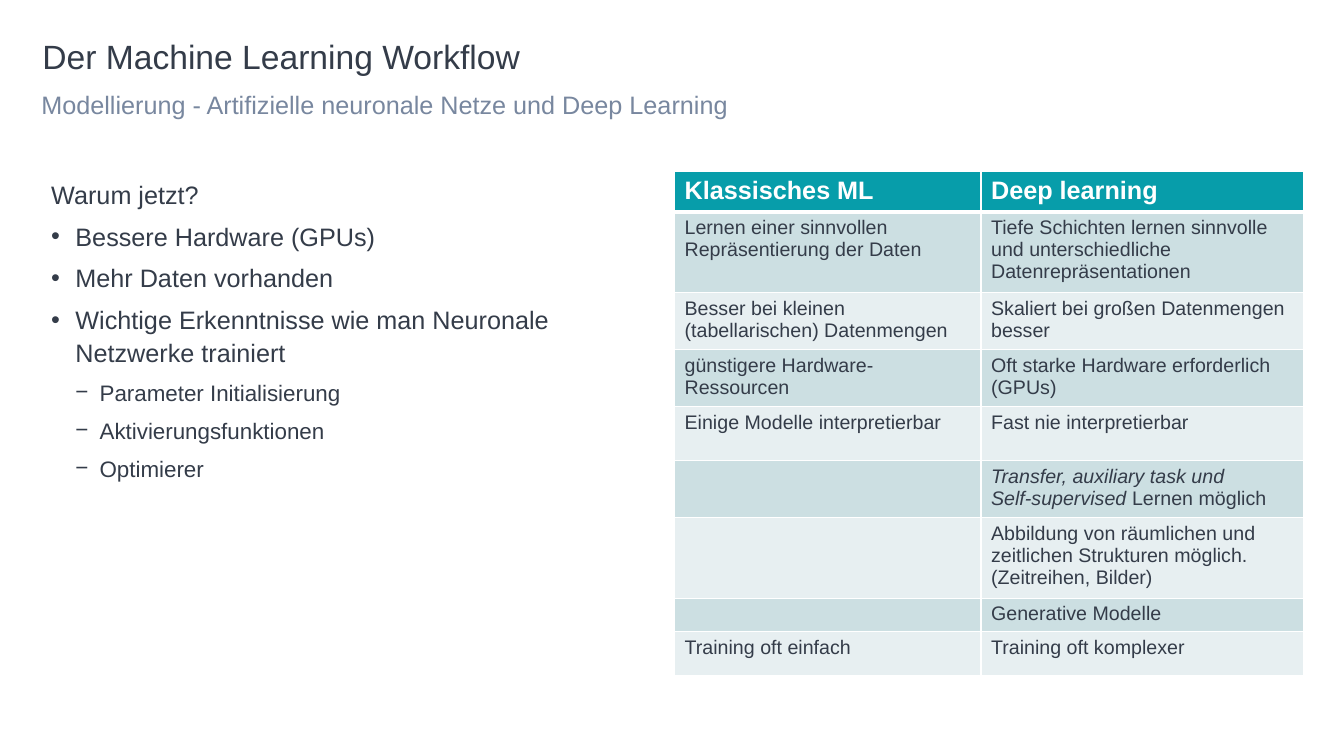
from lxml.etree import SubElement
from pptx import Presentation
from pptx.dml.color import RGBColor
from pptx.oxml.ns import qn
from pptx.util import Pt

PX = 9144
FONT = "Arial"
COLORS = {"ink": "343C49", "muted": "78879F", "head": "079DAA",
          "dark": "CCDFE2", "light": "E7EFF1", "white": "FFFFFF"}
POINTS = [
    ("Warum jetzt?", {}),
    ("Bessere Hardware (GPUs)", {"mark": "•"}),
    ("Mehr Daten vorhanden", {"mark": "•"}),
    ("Wichtige Erkenntnisse wie man Neuronale Netzwerke trainiert", {"mark": "•"}),
    ("Parameter Initialisierung", {"mark": "−", "level": 1, "size": 16}),
    ("Aktivierungsfunktionen", {"mark": "−", "level": 1, "size": 16}),
    ("Optimierer", {"mark": "−", "level": 1, "size": 16}),
]
ROWS = [
    (37, "Klassisches ML", "Deep learning"),
    (76, "Lernen einer sinnvollen Repräsentierung der Daten",
     "Tiefe Schichten lernen sinnvolle und unterschiedliche Datenrepräsentationen"),
    (53, "Besser bei kleinen (tabellarischen) Datenmengen",
     "Skaliert bei großen Datenmengen besser"),
    (53, "günstigere Hardware-Ressourcen", "Oft starke Hardware erforderlich (GPUs)"),
    (53, "Einige Modelle interpretierbar", "Fast nie interpretierbar"),
    (53, "", "*Transfer, auxiliary task und\n*Self-supervised *Lernen möglich"),
    (76, "", "Abbildung von räumlichen und zeitlichen Strukturen möglich. "
             "(Zeitreihen, Bilder)"),
    (32, "", "Generative Modelle"),
    (43, "Training oft einfach", "Training oft komplexer"),
]


def color(name):
    """Return the named colour."""
    return RGBColor.from_string(COLORS[name])


def write(para, text, size=18, ink="ink", bold=False, line=None, after=None,
          mark=None, level=0):
    """Fill a paragraph; an asterisk toggles italics."""
    para.level = level
    if line:
        para.line_spacing = line
    if after:
        para.space_after = Pt(after)
    if mark:
        props = para._p.get_or_add_pPr()
        props.set("marL", str(24 * (level + 1) * PX))
        props.set("indent", str(-24 * PX))
        tint = SubElement(props, qn("a:buClr"))
        SubElement(tint, qn("a:srgbClr"), val=COLORS["ink"])
        SubElement(props, qn("a:buFont"), typeface=FONT)
        SubElement(props, qn("a:buChar"), char=mark)
    for place, part in enumerate(text.split("*")):
        if part:
            run = para.add_run()
            run.text = part
            font = run.font
            font.name, font.size, font.bold = FONT, Pt(size), bold
            font.italic = place % 2 == 1
            font.color.rgb = color(ink)
    if not text:
        SubElement(para._p, qn("a:endParaRPr"), sz=str(size * 100))


def add_text(slide, box, items, left=10, top=5, **style):
    """Place a text box holding one paragraph per item."""
    frame = slide.shapes.add_textbox(*(n * PX for n in box)).text_frame
    frame.word_wrap = True
    frame.margin_left, frame.margin_top = left * PX, top * PX
    for place, (text, extra) in enumerate(items):
        para = frame.add_paragraph() if place else frame.paragraphs[0]
        write(para, text, **{**style, **extra})


def add_edges(cell, row):
    """Draw white cell borders, thicker under the header."""
    props = cell._tc.get_or_add_tcPr()
    for side in "LRTB":
        thick = (row, side) in ((0, "B"), (1, "T"))
        edge = SubElement(props, qn("a:ln" + side), w=str(Pt(3 if thick else 1)))
        fill = SubElement(edge, qn("a:solidFill"))
        SubElement(fill, qn("a:srgbClr"), val=COLORS["white"])


def add_grid(slide, box):
    """Place the comparison table."""
    left, top, width, height = (n * PX for n in box)
    table = slide.shapes.add_table(len(ROWS), 2, left, top, width, height).table
    table.horz_banding = False
    table.columns[0].width = 304 * PX
    table.columns[1].width = width - 304 * PX
    for row, (tall, *texts) in enumerate(ROWS):
        table.rows[row].height = tall * PX
        band = "dark" if row % 2 else "light"
        style = {"size": 14} if row else {"ink": "white", "bold": True}
        for col, text in enumerate(texts):
            cell = table.cell(row, col)
            add_edges(cell, row)
            cell.fill.solid()
            cell.fill.fore_color.rgb = color(band if row else "head")
            frame = cell.text_frame
            for place, part in enumerate(text.split("\n")):
                para = frame.add_paragraph() if place else frame.paragraphs[0]
                write(para, part, **style)


def add_head(slide, box):
    """Place the title and the subtitle below it."""
    left, top, width, height = box
    add_text(slide, (left + 1, top, width, 41),
             [("Der Machine Learning Workflow", {})],
             left=0, top=0, size=24, line=0.9)
    add_text(slide, (left, top + 41, width, height - 41),
             [("Modellierung - Artifizielle neuronale Netze und Deep Learning", {})],
             left=0, ink="muted", line=1.1, after=6)


def main():
    """Build and save the slide."""
    deck = Presentation()
    deck.slide_width, deck.slide_height = 1333 * PX, 750 * PX
    slide = deck.slides.add_slide(deck.slide_layouts[6])
    add_head(slide, (41, 40, 1252, 90))
    add_text(slide, (41, 170, 561, 493), POINTS, line=1.1, after=6)
    add_grid(slide, (669, 170, 624, sum(row[0] for row in ROWS)))
    deck.save("out.pptx")


if __name__ == "__main__":
    main()
